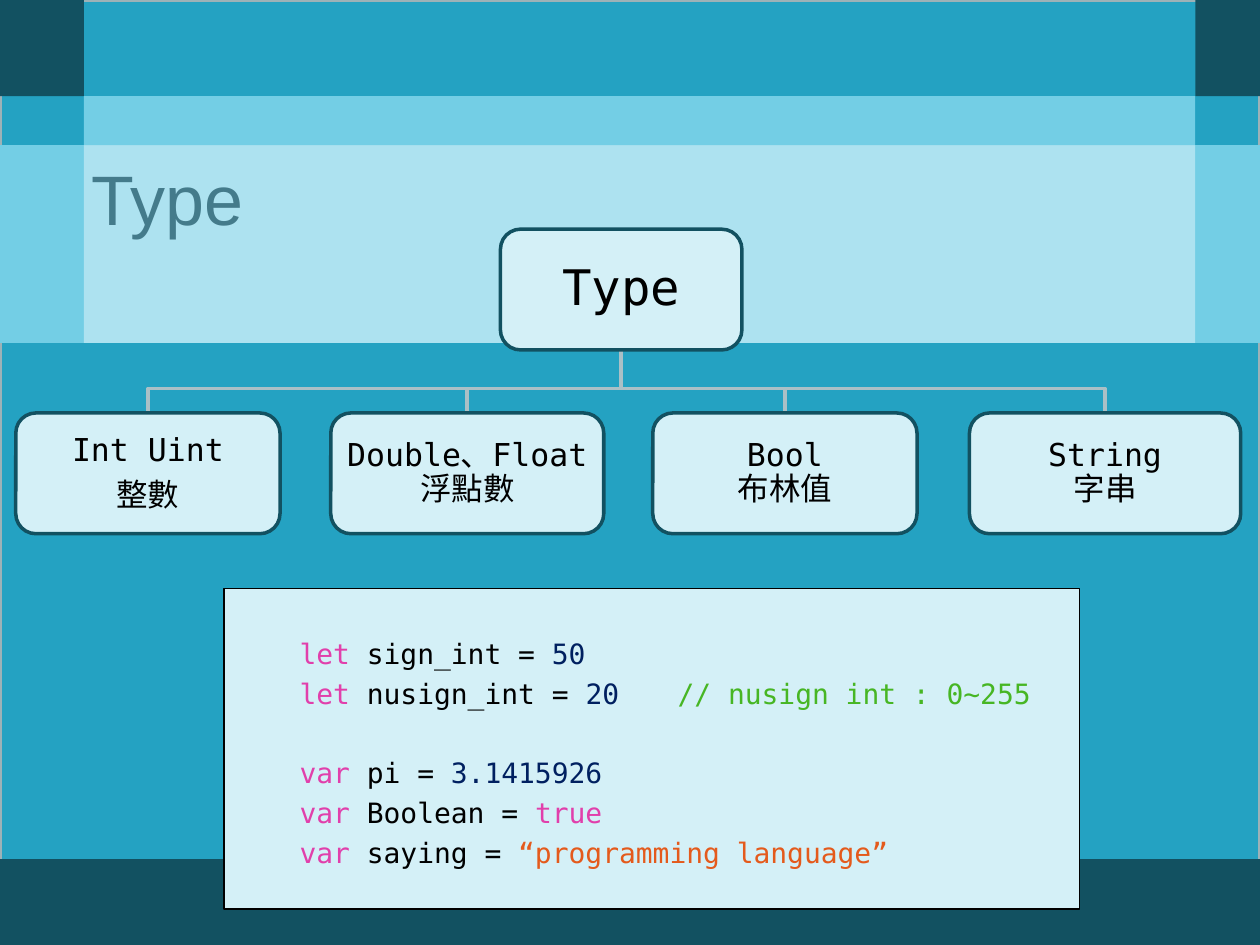
from dataclasses import dataclass

from lxml import etree
from pptx import Presentation
from pptx.dml.color import RGBColor
from pptx.enum.shapes import MSO_SHAPE
from pptx.enum.text import MSO_ANCHOR, PP_ALIGN
from pptx.oxml.ns import qn
from pptx.util import Pt

RECT, ROUND = MSO_SHAPE.RECTANGLE, MSO_SHAPE.ROUNDED_RECTANGLE
TOP, MIDDLE = MSO_ANCHOR.TOP, MSO_ANCHOR.MIDDLE
LEFT, CENTER = PP_ALIGN.LEFT, PP_ALIGN.CENTER


@dataclass(frozen=True)
class Theme:
    """Colours, fonts and type sizes of the slide."""

    base: str = "24A2C2"
    edge: str = "9DB2B7"
    dark: str = "125161"
    mid: str = "73CEE5"
    light: str = "ADE2F0"
    pale: str = "D4F0F7"
    wire: str = "AAC0C6"
    head: str = "447B8B"
    ink: str = "000000"
    key: str = "E13FAB"
    num: str = "002060"
    note: str = "47B624"
    quote: str = "E45A1C"
    sans: str = "Arial"
    mono: str = "DejaVu Sans Mono"
    han: str = "Noto Sans CJK SC"
    title: int = 40
    root: int = 28
    leaf: int = 18
    code: int = 16


THEME = Theme()
WIDTH, HEIGHT = 720, 540
SIDE, RIGHT = 48, 683
BANDS = [
    (0, 0, SIDE, 55, THEME.dark),
    (RIGHT, 0, WIDTH - RIGHT, 55, THEME.dark),
    (0, 491, WIDTH, HEIGHT - 491, THEME.dark),
    (0, 83, WIDTH, 113, THEME.mid),
    (SIDE, 83, RIGHT - SIDE, 113, THEME.light),
    (SIDE, 55, RIGHT - SIDE, 28, THEME.mid),
]
CARD, ROOT_Y, LEAF_Y, BUS_Y = 69, 131, 236, 222
ROOT_X, ROOT_W = 286, 138
LEAVES = [
    (9, 151, "Int Uint\n整數"),
    (189, 156, "Double、Float\v浮點數"),
    (373, 151, "Bool\v布林值"),
    (554, 155, "String\v字串"),
]
CODE = [
    [("let ", THEME.key), ("sign_int = ", THEME.ink), ("50", THEME.num)],
    [("let ", THEME.key), ("nusign_int = ", THEME.ink), ("20\t", THEME.num),
     ("// nusign int : 0~255", THEME.note)],
    [("var", THEME.key), (" pi = ", THEME.ink), ("3.1415926", THEME.num)],
    [("var", THEME.key), (" Boolean = ", THEME.ink), ("true", THEME.key)],
    [("var", THEME.key), (" saying = ", THEME.ink),
     ("“programming language”", THEME.quote)],
]
GAPS = [0, 3.75, 26, 3.75, 3.75]


def style(run, size, color, face):
    """Set the size, colour and fonts of a run."""
    font = run.font
    font.size = Pt(size)
    font.color.rgb = RGBColor.from_string(color)
    font.name = face
    east = etree.SubElement(run._r.get_or_add_rPr(), qn("a:ea"))
    east.set("typeface", THEME.han)


def add_box(slide, kind, box, fill, line=None, width=2):
    """Add a flat preset shape with an optional outline."""
    shape = slide.shapes.add_shape(kind, *map(Pt, box))
    shape.shadow.inherit = False
    shape.fill.solid()
    shape.fill.fore_color.rgb = RGBColor.from_string(fill)
    if line:
        shape.line.color.rgb = RGBColor.from_string(line)
        shape.line.width = Pt(width)
    else:
        shape.line.fill.background()
    return shape


def add_card(slide, box, text, size):
    """Add a rounded node with centred text."""
    frame = add_box(slide, ROUND, box, THEME.pale, THEME.dark).text_frame
    frame.margin_left = frame.margin_right = Pt(1)
    frame.margin_top = frame.margin_bottom = Pt(1)
    frame.word_wrap = True
    frame.vertical_anchor = MIDDLE
    frame.text = text
    for row, para in enumerate(frame.paragraphs):
        para.alignment = CENTER
        para.line_spacing = 0.9
        para.space_before = Pt(6.3 if row else 0)
        for run in para.runs:
            face = THEME.mono if run.text[0].isascii() else THEME.han
            style(run, size, THEME.ink, face)


def add_branch(slide, start, end):
    """Draw the bent line from the root to a leaf."""
    pen = slide.shapes.build_freeform(Pt(start), Pt(ROOT_Y + CARD))
    bends = [(start, BUS_Y), (end, BUS_Y), (end, LEAF_Y)]
    pen.add_line_segments([(Pt(x), Pt(y)) for x, y in bends], close=False)
    line = pen.convert_to_shape()
    line.shadow.inherit = False
    line.fill.background()
    line.line.color.rgb = RGBColor.from_string(THEME.wire)
    line.line.width = Pt(2)


def add_tree(slide):
    """Draw the root, its branches and its leaves."""
    for left, width, _ in LEAVES:
        add_branch(slide, ROOT_X + ROOT_W / 2, left + width / 2)
    add_card(slide, (ROOT_X, ROOT_Y, ROOT_W, CARD), "Type", THEME.root)
    for left, width, text in LEAVES:
        add_card(slide, (left, LEAF_Y, width, CARD), text, THEME.leaf)


def add_code(slide, box):
    """Add the panel of coloured code lines."""
    panel = add_box(slide, RECT, box, THEME.pale, THEME.ink, 0.75)
    frame = panel.text_frame
    frame.word_wrap = False
    frame.vertical_anchor = MIDDLE
    frame.margin_left = Pt(43.2)
    frame.margin_top = Pt(8)
    for row, (parts, gap) in enumerate(zip(CODE, GAPS)):
        para = frame.add_paragraph() if row else frame.paragraphs[0]
        para.alignment = LEFT
        para.space_before = Pt(gap)
        for text, color in parts:
            run = para.add_run()
            run.text = text
            style(run, THEME.code, color, THEME.mono)


def set_title(slide, text, box):
    """Place and format the title above the bands."""
    title = slide.shapes.title
    title.left, title.top, title.width, title.height = map(Pt, box)
    title.element.getparent().append(title.element)
    frame = title.text_frame
    frame.text = text
    frame.vertical_anchor = TOP
    para = frame.paragraphs[0]
    para.alignment = LEFT
    style(para.runs[0], THEME.title, THEME.head, THEME.sans)


def main():
    """Build and save the slide."""
    deck = Presentation()
    deck.slide_width, deck.slide_height = Pt(WIDTH), Pt(HEIGHT)
    slide = deck.slides.add_slide(deck.slide_layouts[5])
    back = slide.background.fill
    back.solid()
    back.fore_color.rgb = RGBColor.from_string(THEME.pale)
    add_box(slide, RECT, (0, 0, WIDTH, HEIGHT), THEME.base, THEME.edge)
    for *box, color in BANDS:
        add_box(slide, RECT, box, color)
    set_title(slide, "Type", (45, 85, 655, 108))
    add_code(slide, (128, 336.5, 489, 183))
    add_tree(slide)
    deck.save("out.pptx")


if __name__ == "__main__":
    main()
